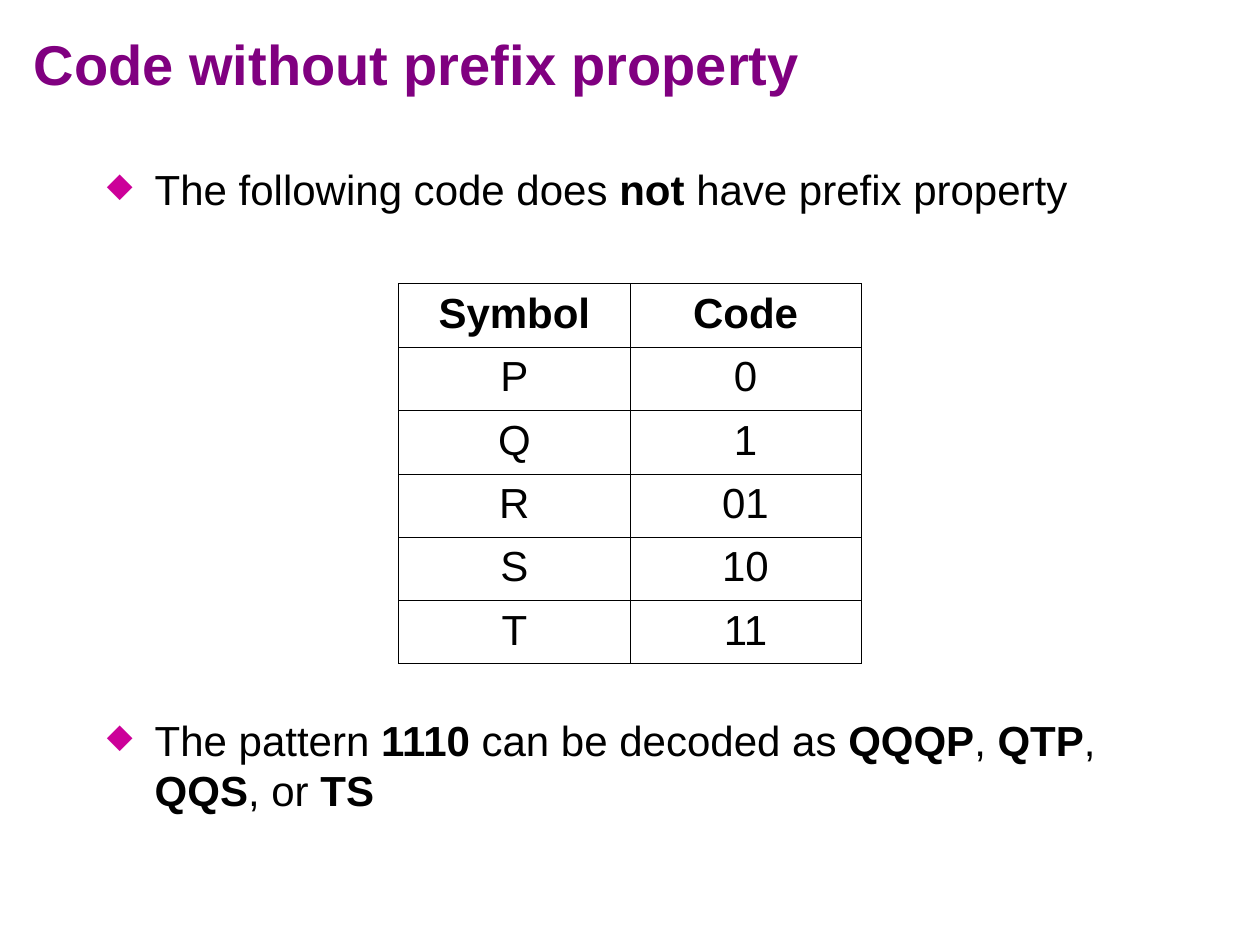
from lxml.etree import SubElement
from pptx import Presentation
from pptx.dml.color import RGBColor
from pptx.enum.text import MSO_ANCHOR, PP_ALIGN
from pptx.oxml.ns import qn
from pptx.util import Inches, Pt

PURPLE = RGBColor(0x80, 0x00, 0x80)
MAGENTA = RGBColor(0xCC, 0x00, 0x99)
BLACK = RGBColor(0x00, 0x00, 0x00)
FONT = "Arial"
WIDTH, HEIGHT = Inches(10), Inches(7.5)


def style(paragraph, size, color, bold=None):
    paragraph.font.name = FONT
    paragraph.font.size = Pt(size)
    paragraph.font.color.rgb = color
    paragraph.font.bold = bold


def add_border(cell, side, points):
    line = SubElement(cell._tc.get_or_add_tcPr(), qn(f"a:{side}"), w=str(Pt(points)))
    fill = SubElement(line, qn("a:solidFill"))
    SubElement(fill, qn("a:srgbClr"), val=str(BLACK))


prs = Presentation()
prs.slide_width, prs.slide_height = WIDTH, HEIGHT
slide = prs.slides.add_slide(prs.slide_layouts[6])

# Title
title = slide.shapes.add_textbox(
    Inches(0.17), Inches(0.04), WIDTH - 2 * Inches(0.17), Inches(0.92)
).text_frame
title.word_wrap = True
title.vertical_anchor = MSO_ANCHOR.MIDDLE
title.text = "Code without prefix property"
style(title.paragraphs[0], 32, PURPLE, True)

# Two statements, spaced apart to leave room for the table; odd pieces are bold
statements = [
    (["The following code does ", "not", " have prefix property"], 0),
    (["The pattern ", "1110", " can be decoded as ", "QQQP", ", ", "QTP", ", ",
      "QQS", ", or ", "TS"], 286),
]
body = slide.shapes.add_textbox(
    Inches(0.75), Inches(1.25), WIDTH - 2 * Inches(0.75), Inches(5.75)
).text_frame
body.word_wrap = True
for index, (pieces, gap) in enumerate(statements):
    statement = body.add_paragraph() if index else body.paragraphs[0]
    statement.space_before = Pt(gap)
    props = statement._p.get_or_add_pPr()
    props.set("marL", str(Inches(0.38)))
    props.set("indent", str(-Inches(0.38)))
    bullet_color = SubElement(props, qn("a:buClr"))
    SubElement(bullet_color, qn("a:srgbClr"), val=str(MAGENTA))
    SubElement(props, qn("a:buSzPct"), val="80000")
    SubElement(props, qn("a:buChar"), char="◆")
    style(statement, 24, BLACK)
    for position, piece in enumerate(pieces):
        run = statement.add_run()
        run.text = piece
        if position % 2:
            run.font.bold = True

# Code table, centred on the slide
codes = [("Symbol", "Code"), ("P", "0"), ("Q", "1"), ("R", "01"), ("S", "10"), ("T", "11")]
row_count, column_count = len(codes), len(codes[0])
table_width = Inches(3.67)
table = slide.shapes.add_table(
    row_count, column_count, (WIDTH - table_width) // 2, HEIGHT * 3 // 10,
    table_width, Inches(3.02)
).table
table.first_row = table.horz_banding = False
for r, row in enumerate(codes):
    for c, value in enumerate(row):
        cell = table.cell(r, c)
        cell.text = value
        cell.vertical_anchor = MSO_ANCHOR.MIDDLE
        entry = cell.text_frame.paragraphs[0]
        entry.alignment = PP_ALIGN.CENTER
        entry.line_spacing = 0.93
        style(entry, 24, BLACK, r == 0)
        # Outer edges are heavier than inner ones
        outer_edges = {"lnL": c == 0, "lnR": c == column_count - 1,
                       "lnT": r == 0, "lnB": r == row_count - 1}
        for side, outer in outer_edges.items():
            add_border(cell, side, 0.5 if outer else 0.23)
        cell.fill.background()

prs.save("out.pptx")
